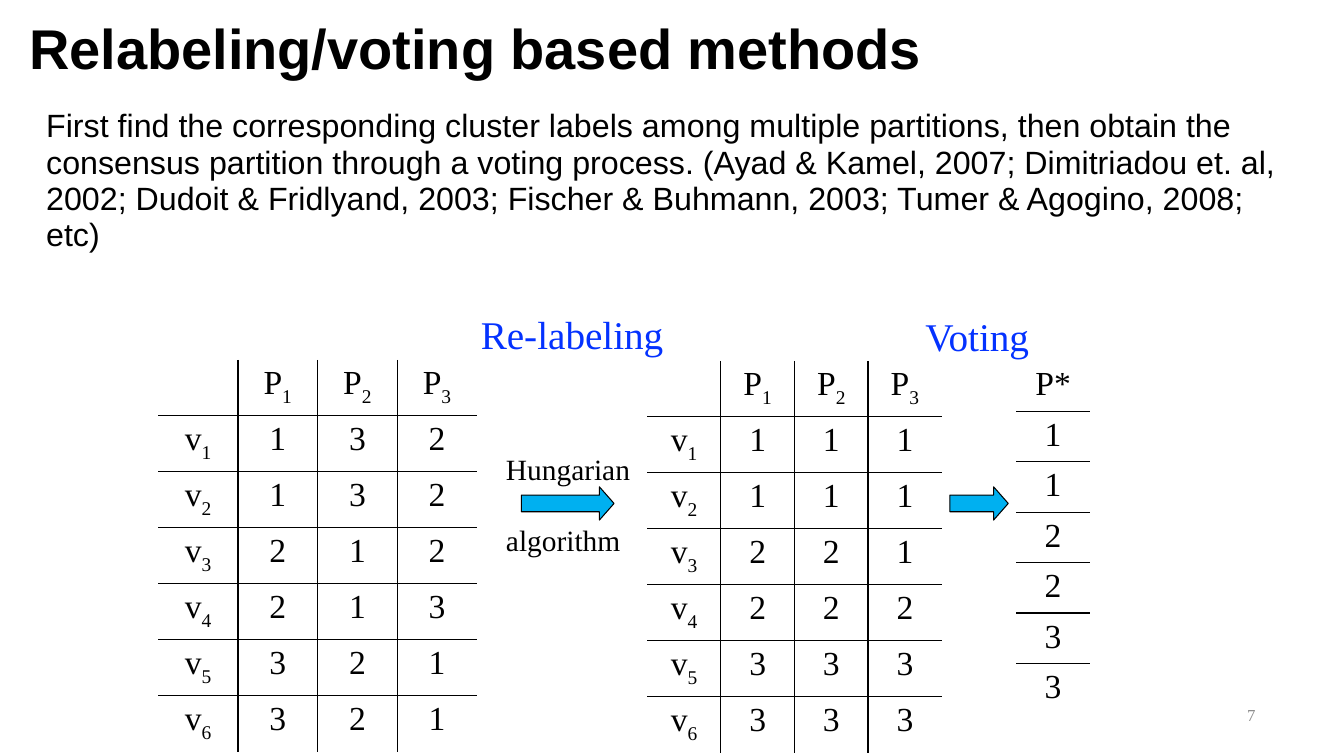
from lxml import etree
from pptx import Presentation
from pptx import util as u
from pptx.dml.color import RGBColor
from pptx.enum import shapes, text
from pptx.oxml.ns import qn

PX = 9144  # EMU per px, 100 px to the inch
COLORS = {"ink": "000000", "label": "0432FF", "arrow": "00B0F0",
          "paper": "FFFFFF", "muted": "8C8C8C"}
SANS, SERIF = "Arial", "Times New Roman"
CENTER, RIGHT = text.PP_ALIGN.CENTER, text.PP_ALIGN.RIGHT
MIDDLE = text.MSO_ANCHOR.MIDDLE

TITLE = "Relabeling/voting based methods"
SUMMARY = (
    "First find the corresponding cluster labels among multiple partitions, "
    "then obtain the consensus partition through a voting process. "
    "(Ayad & Kamel, 2007; Dimitriadou et. al, 2002; Dudoit & Fridlyand, 2003; "
    "Fischer & Buhmann, 2003; Tumer & Agogino, 2008; etc)")
ORIGINAL_LABELS = ["132", "132", "212", "213", "321", "321"]
ALIGNED_LABELS = ["111", "111", "221", "222", "333", "333"]
CONSENSUS = ["P*", *"112233"]


def partition_rows(labels):
    """Add the P header row and the v column; "_" starts a subscript."""
    header = ["", "P_1", "P_2", "P_3"]
    return [header] + [[f"v_{i}", *row] for i, row in enumerate(labels, 1)]


def color(name):
    return RGBColor.from_string(COLORS[name])


class VotingSlide:
    def __init__(self, deck):
        self.slide = deck.slides.add_slide(deck.slide_layouts[6])

    def set_font(self, font, ink="ink", **values):
        font.color.rgb = color(ink)
        for name, value in values.items():
            setattr(font, name, value)

    def text(self, box, lines, size, font=SANS, ink="ink", bold=False,
             fill=None, wrap=True, anchor=None, gap=0, **paragraph_format):
        textbox = self.slide.shapes.add_textbox(*(v * PX for v in box))
        if fill:
            textbox.fill.solid()
            textbox.fill.fore_color.rgb = color(fill)
        frame = textbox.text_frame
        frame.word_wrap = wrap
        if anchor is not None:
            frame.vertical_anchor = anchor
        for i, line in enumerate(lines):
            paragraph = frame.add_paragraph() if i else frame.paragraphs[0]
            if i:
                paragraph.space_before = u.Pt(gap)
            for name, value in paragraph_format.items():
                setattr(paragraph, name, value)
            run = paragraph.add_run()
            run.text = line
            self.set_font(run.font, ink, name=font, size=u.Pt(size), bold=bold)

    def arrow(self, *box):
        arrow = self.slide.shapes.add_shape(
            shapes.MSO_SHAPE.RIGHT_ARROW, *(v * PX for v in box))
        arrow.shadow.inherit = False
        arrow.adjustments[1] = 0.44
        arrow.fill.solid()
        arrow.fill.fore_color.rgb = color("arrow")
        arrow.line.color.rgb = color("ink")
        arrow.line.width = u.Pt(0.75)

    def border(self, cell, side, visible):
        properties = cell._tc.get_or_add_tcPr()
        line = etree.SubElement(properties, qn(f"a:ln{side}"), w=str(u.Pt(1)))
        if visible:
            fill = etree.SubElement(line, qn("a:solidFill"))
            etree.SubElement(fill, qn("a:srgbClr"), val=COLORS["ink"])
        else:
            etree.SubElement(line, qn("a:noFill"))

    def label(self, cell, label):
        """Write a centred label, with the part after "_" as a subscript."""
        paragraph = cell.text_frame.paragraphs[0]
        paragraph.alignment = CENTER
        for i, part in enumerate(label.split("_")):
            run = paragraph.add_run()
            run.text = part
            self.set_font(run.font, name=SERIF, size=u.Pt(24))
            if i:
                run._r.get_or_add_rPr().set("baseline", "-25000")

    def table(self, left, top, column, row, rows):
        """Draw a table that has inner rules only."""
        height, width = len(rows), len(rows[0])
        table = self.slide.shapes.add_table(
            height, width, left * PX, top * PX,
            width * column * PX, height * row * PX).table
        table.first_row = table.horz_banding = False
        for y, labels in enumerate(rows):
            for x, label in enumerate(labels):
                cell = table.cell(y, x)
                inner = {"L": x > 0, "R": x < width - 1,
                         "T": y > 0, "B": y < height - 1}
                for side, visible in inner.items():
                    self.border(cell, side, visible)
                cell.fill.background()
                if label:
                    self.label(cell, label)


def main():
    deck = Presentation()
    deck.slide_width, deck.slide_height = 1333 * PX, 750 * PX
    page = VotingSlide(deck)

    page.text((944, 683, 311, 52), ["7"], 12, SERIF, "muted",
              anchor=MIDDLE, alignment=RIGHT)
    page.text((19, 31, 996, 40), [TITLE], 40, bold=True,
              anchor=MIDDLE, line_spacing=0.9)
    page.text((36, 103, 1243, 185), [SUMMARY], 23, line_spacing=0.94)

    page.table(157, 357, 79, 52, partition_rows(ORIGINAL_LABELS))
    page.table(642, 358, 73, 52, partition_rows(ALIGNED_LABELS))
    page.table(1008, 358, 73, 50, [[label] for label in CONSENSUS])

    for left, top, width, step in ((467, 303, 209, "Re-labeling"),
                                   (908, 305, 133, "Voting")):
        page.text((left, top, width, 53), [step], 28, SERIF, "label",
                  fill="paper")
    page.arrow(517, 483, 92, 33)
    page.arrow(942, 483, 58, 33)
    page.text((492, 443, 208, 119), ["Hungarian", "algorithm"], 21, SERIF,
              gap=25)
    deck.save("out.pptx")


if __name__ == "__main__":
    main()
